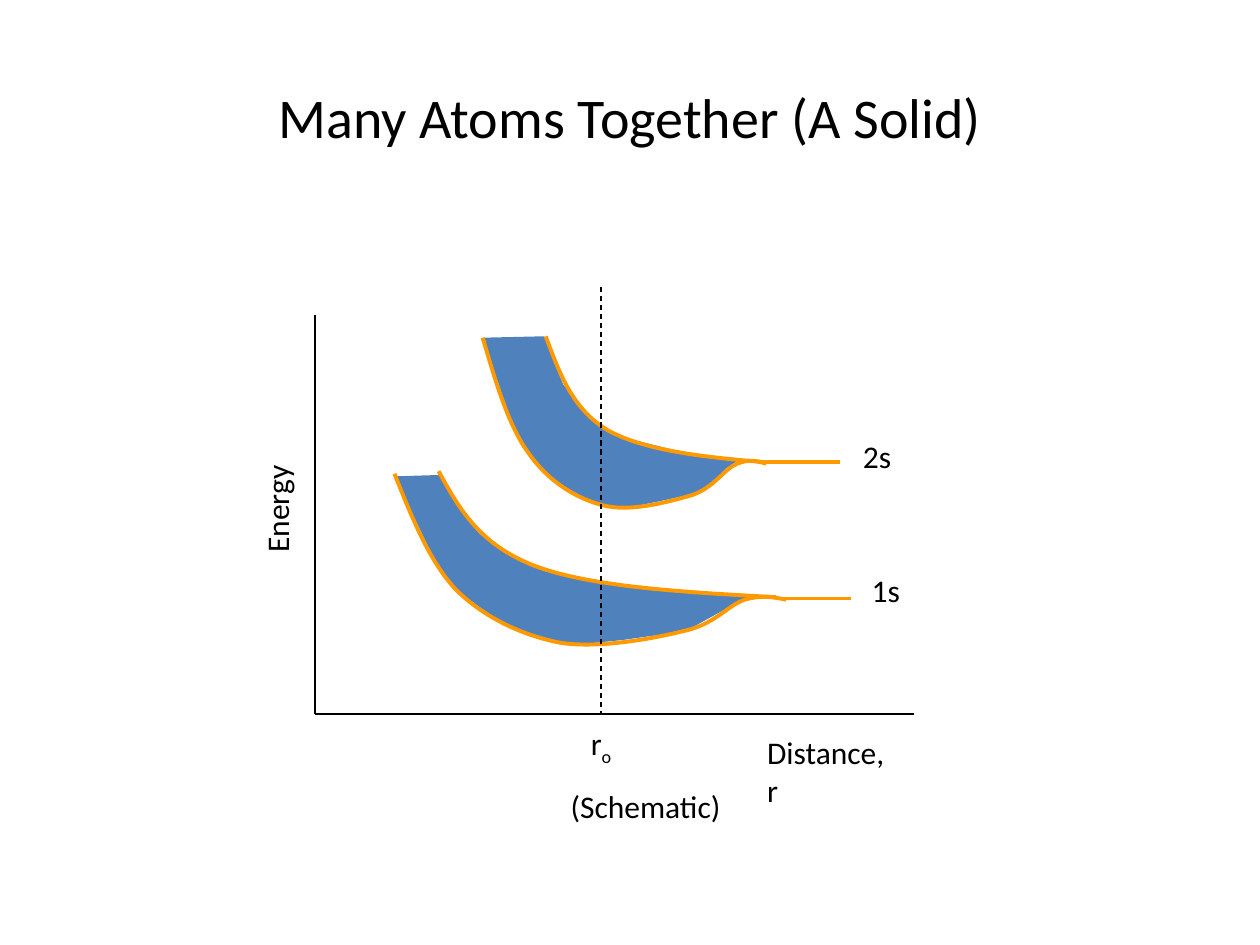
import itertools
from dataclasses import dataclass

import pptx
import pptx.dml.color
import pptx.enum.dml
import pptx.enum.shapes
import pptx.enum.text
import pptx.oxml.ns
import pptx.util
from lxml import etree

Pt = pptx.util.Pt
qn = pptx.oxml.ns.qn
ALIGN = pptx.enum.text.PP_ALIGN
ANCHOR = pptx.enum.text.MSO_ANCHOR
FIT = pptx.enum.text.MSO_AUTO_SIZE
DASH = pptx.enum.dml.MSO_LINE.DASH


@dataclass
class Theme:
    font: str = "Calibri"
    ink: str = "000000"
    band: str = "4F81BD"
    edge: str = "FF9900"
    title: float = 32
    label: float = 18
    thin: float = 0.75
    thick: float = 2.25


def paint(color):
    return pptx.dml.color.RGBColor.from_string(color)


def write(para, text, *, size, color, font, sub=False):
    run = para.add_run()
    run.text = text
    run.font.size = Pt(size)
    run.font.name = font
    run.font.color.rgb = paint(color)
    if sub:
        run.font._element.set("baseline", "-25000")


def bend(shape):
    """Turn each three line segments of a freeform into one Bezier curve."""
    lines = list(shape._element.iter(qn("a:lnTo")))
    for i in range(0, len(lines), 3):
        first, *rest = lines[i:i + 3]
        first.tag = qn("a:cubicBezTo")
        for line in rest:
            first.append(line[0])
            line.getparent().remove(line)


class Board:
    def __init__(self, slide, theme):
        self.slide = slide
        self.theme = theme

    def text(self, text, box, size=None, sub="", turn=0, wrap=False,
             align=ALIGN.LEFT, anchor=ANCHOR.TOP, fit=FIT.SHAPE_TO_FIT_TEXT):
        shape = self.slide.shapes.add_textbox(*map(Pt, box))
        shape.rotation = turn
        frame = shape.text_frame
        frame.auto_size = fit
        frame.word_wrap = wrap
        frame.vertical_anchor = anchor
        para = frame.paragraphs[0]
        para.alignment = align
        look = dict(size=size or self.theme.label, color=self.theme.ink,
                    font=self.theme.font)
        write(para, text, **look)
        if sub:
            write(para, sub, sub=True, **look)

    def line(self, start, end, color, width, dash=None):
        line = self.slide.shapes.add_connector(
            pptx.enum.shapes.MSO_CONNECTOR.STRAIGHT, *map(Pt, start + end))
        line.line.color.rgb = paint(color)
        line.line.width = Pt(width)
        if dash:
            line.line.dash_style = dash
        etree.SubElement(line._element.spPr, qn("a:effectLst"))

    def outline(self, points, close):
        points = [(Pt(x), Pt(y)) for x, y in points]
        pen = self.slide.shapes.build_freeform(*points[0], scale=1.0)
        pen.add_line_segments(points[1:], close=close)
        shape = pen.convert_to_shape()
        shape.shadow.inherit = False
        return shape

    def band(self, points):
        shape = self.outline(points, True)
        shape.fill.solid()
        shape.fill.fore_color.rgb = paint(self.theme.band)
        shape.line.fill.background()

    def curve(self, nodes):
        shape = self.outline(nodes, False)
        bend(shape)
        shape.fill.background()
        shape.line.color.rgb = paint(self.theme.edge)
        shape.line.width = Pt(self.theme.thick)


BANDS = [
    [(427.7, 341.3), (412.6, 349.2), (391.7, 360.7), (355.7, 365.8),
     (334.8, 367.9), (309.6, 365.8), (285.1, 355), (261.4, 337.7),
     (250.6, 324.7), (234.7, 291.6), (226.8, 272.2), (252.7, 271.4),
     (263.5, 292.3), (274.3, 305.3), (288, 315.4), (310.3, 326.2),
     (334.1, 331.9), (355, 334.1)],
    [(423.4, 262.1), (397.4, 259.9), (378.7, 255.6), (355.7, 249.8),
     (339.1, 240.5), (321.8, 219.6), (311, 192.2), (276.5, 193),
     (284.4, 218.2), (295.9, 250.6), (312.5, 271.4), (334.1, 285.1),
     (355, 290.9), (380.2, 285.8), (402.5, 280.8), (414.7, 267.8)],
]

# Upper and lower edge of the 2s band, then of the 1s band:
# a start, then two control points and an end for each curve
EDGES = [
    [(437.8, 264.2), (403.2, 261.4), (369.4, 257.8), (347.8, 246.2),
     (326.9, 234), (319.7, 213.1), (311.8, 192.2)],
    [(437.8, 265), (432.7, 263.5), (428.4, 262.1), (421.2, 265),
     (414, 267.8), (408.2, 278.6), (395.3, 283), (382.3, 286.6),
     (360, 293), (344.2, 288.7), (328.3, 284.4), (313.2, 275),
     (301.7, 258.5), (290.2, 242.6), (283, 217.4), (275.8, 193)],
    [(443.5, 341.3), (390.2, 338.4), (337.7, 335.5), (305.3, 323.3),
     (273.6, 311), (262.1, 290.2), (250.6, 269.3)],
    [(449.3, 342.7), (442.1, 341.3), (435.6, 339.8), (425.5, 342.7),
     (416.2, 345.6), (408.2, 357.1), (390.2, 360.7), (373, 365),
     (341.3, 370.8), (319.7, 367.2), (298.1, 362.9), (276.5, 352.8),
     (260.6, 337), (245.5, 321.1), (235.4, 295.9), (225.4, 270.7)],
]


def main():
    deck = pptx.Presentation()
    deck.slide_width, deck.slide_height = Pt(720), Pt(540)
    theme = Theme()
    board = Board(deck.slides.add_slide(deck.slide_layouts[6]), theme)

    board.text("Many Atoms Together (A Solid)", (36, 21.6, 648, 90),
               size=theme.title, wrap=True, align=ALIGN.CENTER,
               anchor=ANCHOR.MIDDLE, fit=FIT.NONE)
    for points in BANDS:
        board.band(points)

    top, base, end = (180, 180), (180, 408), (522, 408)
    for start, stop in itertools.pairwise((top, base, end)):
        board.line(start, stop, theme.ink, theme.thin)
    for left, right, y in ((444, 486, 342), (438, 480, 264)):
        board.line((left, y), (right, y), theme.edge, theme.thick)
    for nodes in EDGES:
        board.curve(nodes)
    board.line((343.5, 164), (343.5, 408), theme.ink, theme.thin, DASH)

    tall = 26.6
    board.text("Energy", (124.6, 277.2, 64.8, tall), turn=270)
    board.text("Distance, r", (431.3, 415.4, 90.7, tall), wrap=True)
    board.text("1s", (491, 322.6, 31.7, tall))
    board.text("2s", (486, 246.2, 31.7, tall))
    board.text("(Schematic)", (319, 446.4, 100, tall))
    board.text("r", (330.5, 410.4, 26, tall), sub="o")

    deck.save("out.pptx")


if __name__ == "__main__":
    main()
